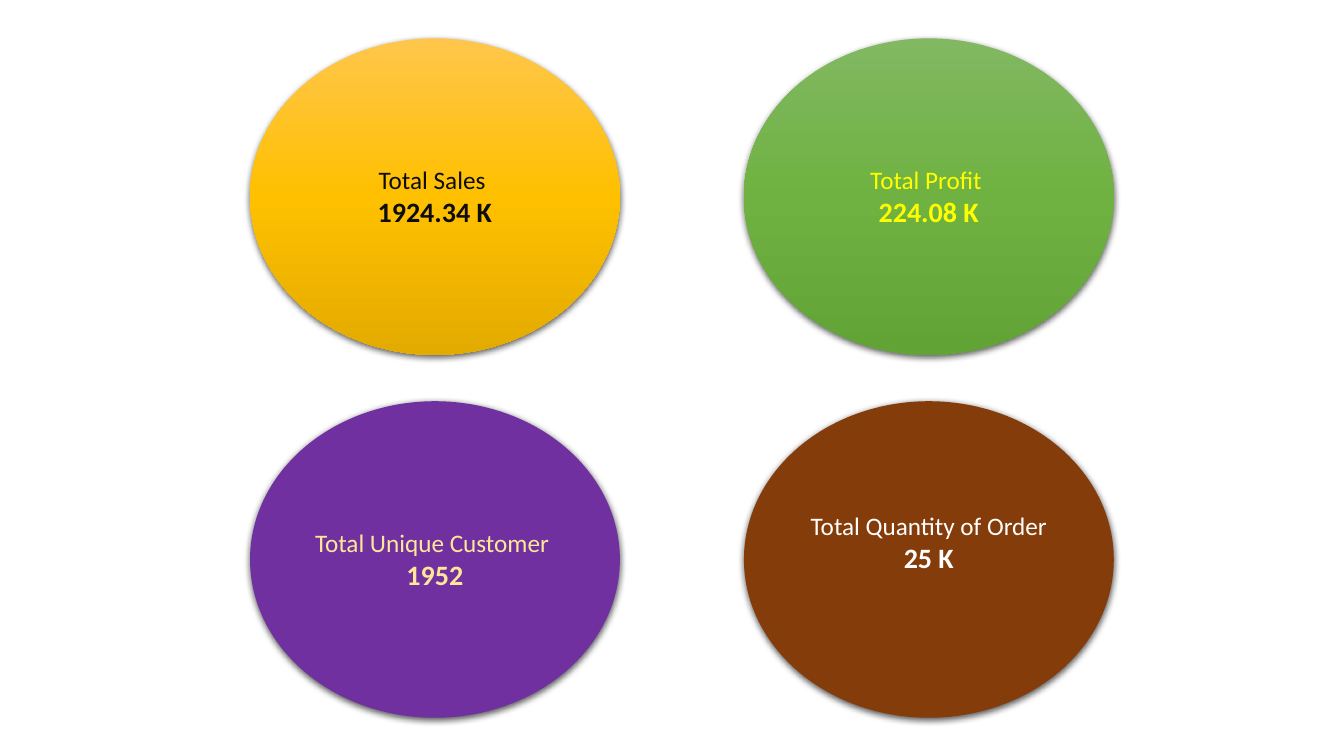
from copy import deepcopy
from dataclasses import dataclass

from lxml.etree import SubElement
from pptx import Presentation
from pptx.dml.color import RGBColor as RGB
from pptx.enum.shapes import MSO_SHAPE as SHAPE
from pptx.enum.text import MSO_ANCHOR as ANCHOR, PP_ALIGN as ALIGN
from pptx.oxml.ns import qn
from pptx.util import Pt

COLORS = {
    "gold_light": "FFC64B", "gold": "FFC000", "gold_dark": "E3AB00",
    "green_light": "81B861", "green": "6FB242", "green_dark": "62A336",
    "brown": "843C0B", "purple": "7030A0",
    "ink": "0D0D0D", "yellow": "FFFF00", "white": "FFFFFF", "cream": "FFE699",
    "shadow": "000000",
}
LEFT, TOP = 178.6, 27.4
WIDTH, HEIGHT = 264.2, 226.1
COL_STEP, ROW_STEP = 352.8, 259.2


@dataclass(frozen=True)
class Metric:
    label: str
    value: str
    col: int
    row: int
    fills: tuple[str, ...]
    color: str
    bottom: float = 3.6


METRICS = (
    Metric("Total Sales ", "1924.34 K", 0, 0,
           ("gold_light", "gold", "gold_dark"), "ink"),
    Metric("Total Profit ", "224.08 K", 1, 0,
           ("green_light", "green", "green_dark"), "yellow"),
    Metric("Total Quantity of Order", "25 K", 1, 1,
           ("brown",), "white", bottom=28),
    Metric("Total Unique Customer ", "1952", 0, 1, ("purple",), "cream"),
)


def rgb(name: str) -> RGB:
    return RGB.from_string(COLORS[name])


def write(p, text: str, *, size: float, color: str, bold: bool = False) -> None:
    p.alignment = ALIGN.CENTER
    r = p.add_run()
    r.text = text
    r.font.name = "Calibri"
    r.font.size = Pt(size)
    r.font.bold = bold
    r.font.color.rgb = rgb(color)


def paint(sp, fills: tuple[str, ...]) -> None:
    if len(fills) == 1:
        sp.fill.solid()
        sp.fill.fore_color.rgb = rgb(fills[0])
        return
    sp.fill.gradient()
    sp.fill.gradient_angle = 270
    stops = sp._element.spPr.find(f".//{qn('a:gsLst')}")
    while len(stops) < len(fills):
        stops.append(deepcopy(stops[0]))
    for i, (stop, name) in enumerate(zip(sp.fill.gradient_stops, fills)):
        stop.position = i / (len(fills) - 1)
        stop.color.rgb = rgb(name)


def add_shadow(sp) -> None:
    sp.shadow.inherit = False
    effects = sp._element.spPr.find(qn("a:effectLst"))
    shadow = SubElement(effects, qn("a:outerShdw"), blurRad=str(Pt(4.5)),
                        dist=str(Pt(1.5)), dir="5400000", algn="ctr",
                        rotWithShape="0")
    color = SubElement(shadow, qn("a:srgbClr"), val=COLORS["shadow"])
    SubElement(color, qn("a:alpha"), val="63000")


def add_metric(s, metric: Metric) -> None:
    sp = s.shapes.add_shape(
        SHAPE.FLOWCHART_CONNECTOR,
        Pt(LEFT + metric.col * COL_STEP), Pt(TOP + metric.row * ROW_STEP),
        Pt(WIDTH), Pt(HEIGHT))
    paint(sp, metric.fills)
    sp.line.fill.background()
    add_shadow(sp)
    tf = sp.text_frame
    tf.word_wrap = True
    tf.vertical_anchor = ANCHOR.MIDDLE
    tf.margin_bottom = Pt(metric.bottom)
    write(tf.paragraphs[0], metric.label, size=18, color=metric.color)
    write(tf.add_paragraph(), metric.value, size=20, color=metric.color, bold=True)


def main() -> None:
    prs = Presentation()
    prs.slide_width, prs.slide_height = Pt(960), Pt(540)
    s = prs.slides.add_slide(prs.slide_layouts[6])
    for metric in METRICS:
        add_metric(s, metric)
    prs.save("out.pptx")


if __name__ == "__main__":
    main()
